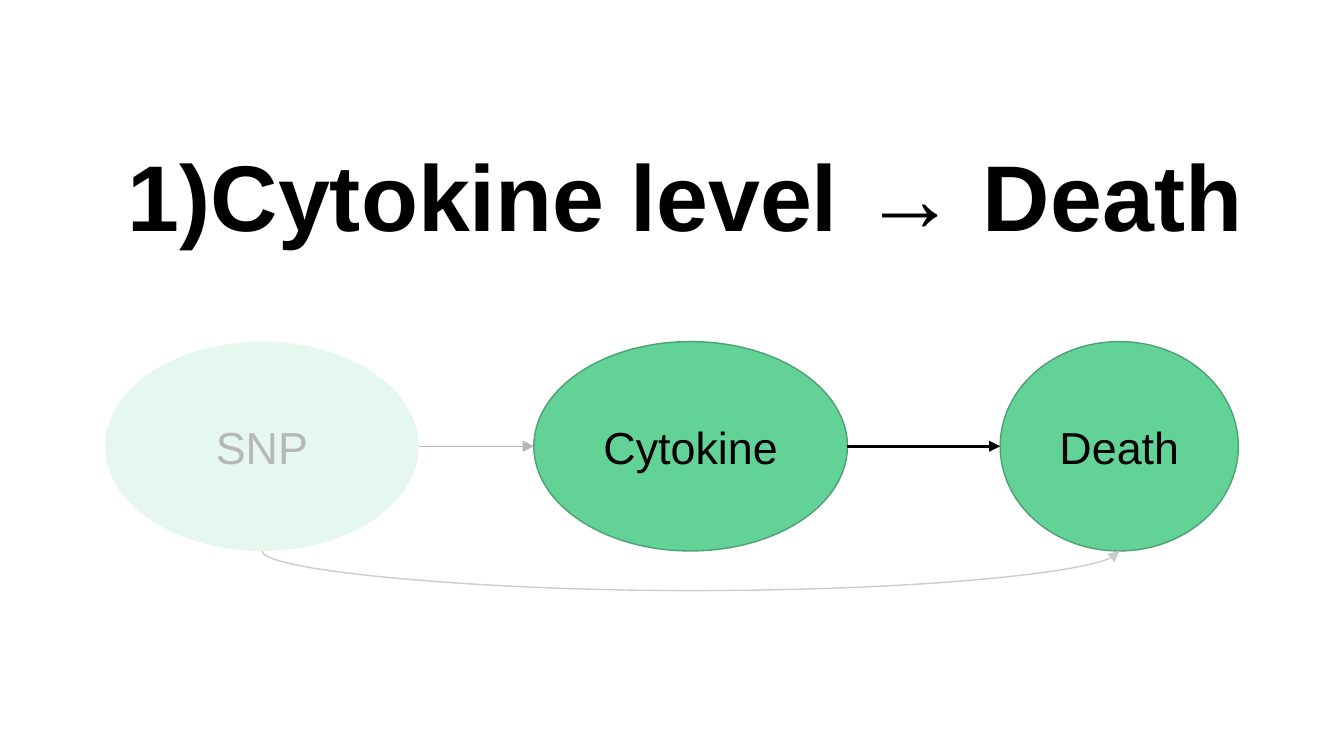
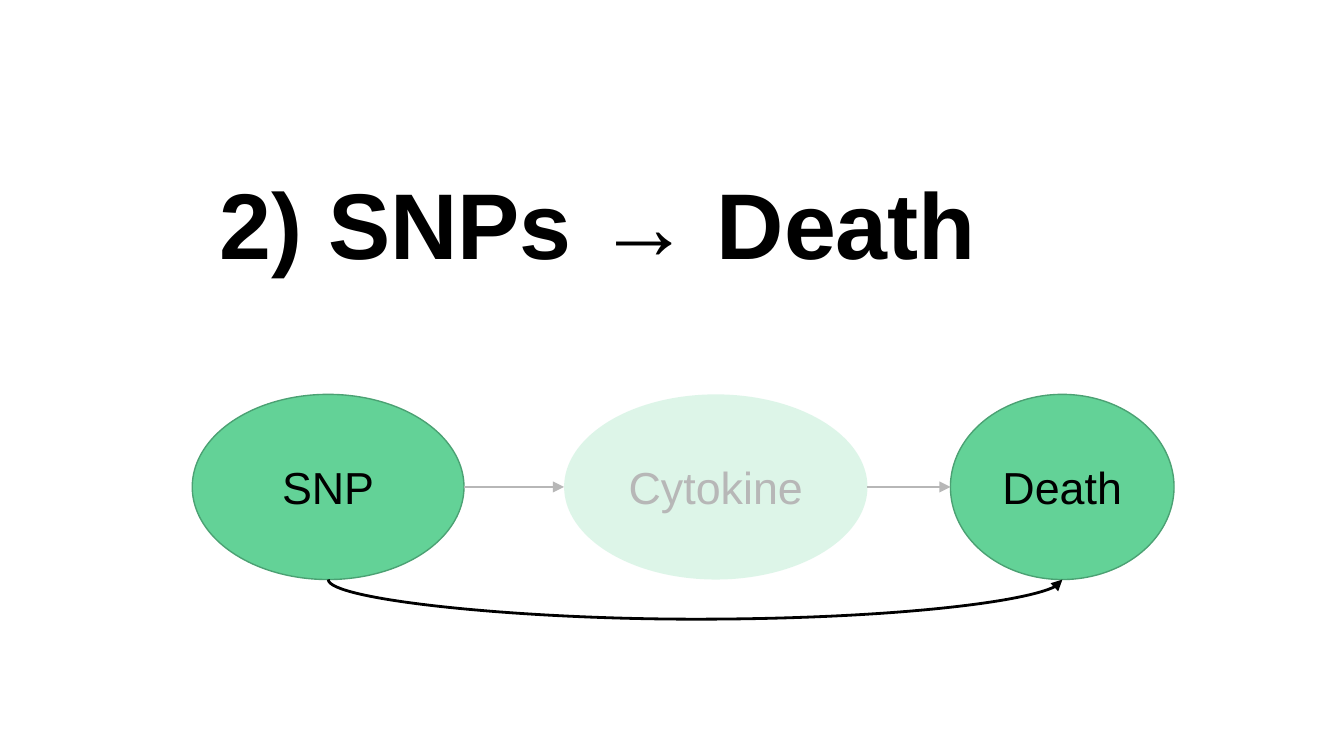
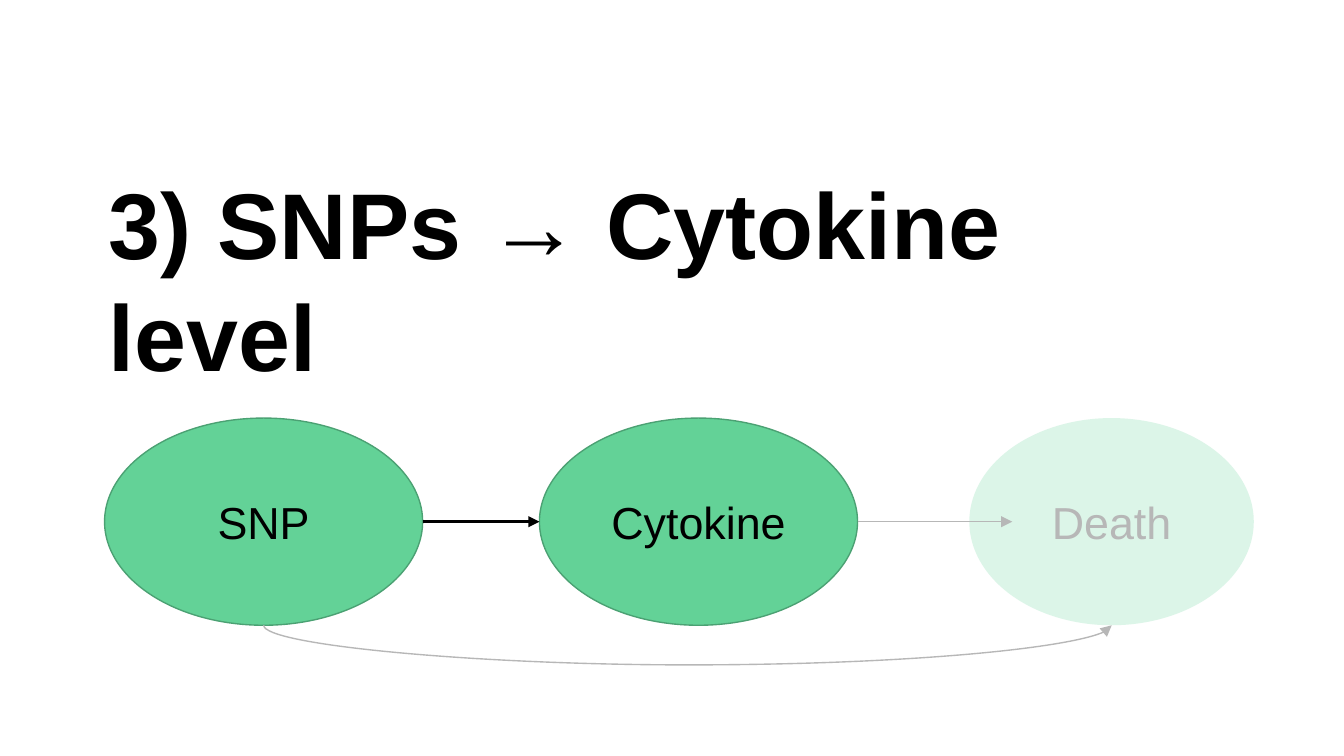
"""Build three slides on the links between SNPs, cytokine level and death."""
from dataclasses import dataclass
from typing import Optional

from lxml import etree
from pptx import Presentation
from pptx import util as u
from pptx.dml.color import RGBColor
from pptx.enum import shapes, text
from pptx.oxml import ns

COLORS = {
    "ink": "000000",
    "node": "63D297",
    "outline": "4BA173",
    "muted": "B7B7B7",
    "pale": "CCCCCC",
    "background": "FFFFFF",
}
FONT = "Arial"
INSET = 7.2
THIN, THICK = 0.75, 1.5
CURVE_DROP = 18.75
CURVE_WIDTH = 0.05


@dataclass
class Title:
    wording: str
    left: float
    top: float
    width: float
    numbered: bool = False
    height: float = 100


@dataclass
class Node:
    label: str
    left: float
    width: float
    opacity: int = 100


@dataclass
class Link:
    color: str = "muted"
    weight: float = THIN
    end: Optional[float] = None


@dataclass
class Step:
    title: Title
    top: float
    height: float
    nodes: list[Node]
    links: list[Link]
    curve: Link


STRONG = Link("ink", THICK)

STEPS = [
    Step(
        Title("Cytokine level → Death", 61.2, 67, 618.5, numbered=True),
        183, 112.2,
        [Node("SNP", 56.3, 168, 16), Node("Cytokine", 286, 168), Node("Death", 535.8, 127.6)],
        [Link(), STRONG],
        Link("pale"),
    ),
    Step(
        Title("2) SNPs → Death", 110.2, 82, 580.3),
        211.3, 99.2,
        [Node("SNP", 103, 145.6), Node("Cytokine", 302.2, 162.5, 21), Node("Death", 509.2, 119.8)],
        [Link(), Link()],
        STRONG,
    ),
    Step(
        Title("3) SNPs → Cytokine level", 51.1, 82, 617.8),
        224, 111,
        [Node("SNP", 56, 170.4), Node("Cytokine", 289, 170.4), Node("Death", 519.3, 152.4, 22)],
        [STRONG, Link(end=542.3)],
        Link(),
    ),
]


def rgb(name: str) -> RGBColor:
    """Return a palette colour."""
    return RGBColor.from_string(COLORS[name])


def add_element(parent, tag: str, **attributes: str):
    """Append a drawing element to its parent."""
    return etree.SubElement(parent, ns.qn(tag), attributes)


def write(frame, wording: str, size: float, color: str, alignment, anchor, bold: bool = False) -> None:
    """Write one formatted run into a text frame."""
    frame.word_wrap = True
    frame.auto_size = text.MSO_AUTO_SIZE.NONE
    frame.vertical_anchor = anchor
    frame.margin_left = frame.margin_right = u.Pt(INSET)
    frame.margin_top = frame.margin_bottom = u.Pt(INSET)
    paragraph = frame.paragraphs[0]
    paragraph.alignment = alignment
    run = paragraph.add_run()
    run.text = wording
    run.font.name = FONT
    run.font.size = u.Pt(size)
    run.font.bold = bold
    run.font.color.rgb = rgb(color)


def number_paragraph(paragraph) -> None:
    """Number a paragraph in the style 1)."""
    properties = paragraph._p.get_or_add_pPr()
    properties.set("marL", str(u.Pt(36)))
    properties.set("indent", str(-u.Pt(43)))
    bullet_color = add_element(properties, "a:buClr")
    add_element(bullet_color, "a:srgbClr", val=COLORS["ink"])
    add_element(properties, "a:buSzPts", val="5000")
    add_element(properties, "a:buFont", typeface=FONT)
    add_element(properties, "a:buAutoNum", type="arabicParenR")


def place_title(slide, title: Title) -> None:
    """Move, fill and format the title placeholder."""
    shape = slide.shapes.title
    shape.left, shape.top = u.Pt(title.left), u.Pt(title.top)
    shape.width, shape.height = u.Pt(title.width), u.Pt(title.height)
    if title.numbered:
        number_paragraph(shape.text_frame.paragraphs[0])
    write(shape.text_frame, title.wording, 50, "ink",
          text.PP_ALIGN.LEFT, text.MSO_ANCHOR.TOP, bold=True)


def draw_node(slide, node: Node, top: float, height: float) -> None:
    """Draw an ellipse, faded when it is not fully opaque."""
    shape = slide.shapes.add_shape(
        shapes.MSO_SHAPE.OVAL, u.Pt(node.left), u.Pt(top), u.Pt(node.width), u.Pt(height))
    shape.shadow.inherit = False
    shape.fill.solid()
    shape.fill.fore_color.rgb = rgb("node")
    faded = node.opacity < 100
    if faded:
        fill_color = shape._element.spPr.find(ns.qn("a:solidFill"))[0]
        add_element(fill_color, "a:alpha", val=str(node.opacity * 1000))
        shape.line.fill.background()
    else:
        shape.line.color.rgb = rgb("outline")
        shape.line.width = u.Pt(THIN)
    write(shape.text_frame, node.label, 24, "muted" if faded else "ink",
          text.PP_ALIGN.CENTER, text.MSO_ANCHOR.MIDDLE)


def draw_link(slide, link: Link, kind, start: float, end: float, y: float):
    """Draw a level connector with an arrowhead at its end."""
    connector = slide.shapes.add_connector(kind, u.Pt(start), u.Pt(y), u.Pt(end), u.Pt(y))
    connector.line.color.rgb = rgb(link.color)
    connector.line.width = u.Pt(link.weight)
    add_element(connector.line._get_or_add_ln(), "a:tailEnd", type="triangle", w="med", len="med")
    add_element(connector._element.spPr, "a:effectLst")
    return connector


def draw_curve(slide, link: Link, start: float, end: float, y: float) -> None:
    """Draw an arrow that sags below the nodes."""
    connector = draw_link(slide, link, shapes.MSO_CONNECTOR.CURVE, start, end, y)
    span = end - start
    connector.left, connector.top = u.Pt((start + end) / 2), u.Pt(y - span / 2)
    connector.width, connector.height = u.Pt(CURVE_WIDTH), u.Pt(span)
    properties = connector._element.spPr
    frame = properties.find(ns.qn("a:xfrm"))
    frame.set("rot", str(270 * 60000))
    frame.set("flipH", "1")
    adjustments = properties.find(ns.qn("a:prstGeom")).find(ns.qn("a:avLst"))
    bend = round(CURVE_DROP / CURVE_WIDTH * 100000)
    add_element(adjustments, "a:gd", name="adj1", fmla=f"val {bend}")


def build_slide(presentation, step: Step) -> None:
    """Build the slide of one step."""
    slide = presentation.slides.add_slide(presentation.slide_layouts[5])
    slide.background.fill.solid()
    slide.background.fill.fore_color.rgb = rgb("background")
    place_title(slide, step.title)
    for node in step.nodes:
        draw_node(slide, node, step.top, step.height)
    middle = step.top + step.height / 2
    for link, source, target in zip(step.links, step.nodes, step.nodes[1:]):
        draw_link(slide, link, shapes.MSO_CONNECTOR.STRAIGHT,
                  source.left + source.width, link.end or target.left, middle)
    first, last = step.nodes[0], step.nodes[-1]
    draw_curve(slide, step.curve, first.left + first.width / 2,
               last.left + last.width / 2, step.top + step.height)


def main() -> None:
    """Build and save the presentation."""
    presentation = Presentation()
    presentation.slide_width, presentation.slide_height = u.Pt(720), u.Pt(405)
    for step in STEPS:
        build_slide(presentation, step)
    presentation.save("out.pptx")


if __name__ == "__main__":
    main()
